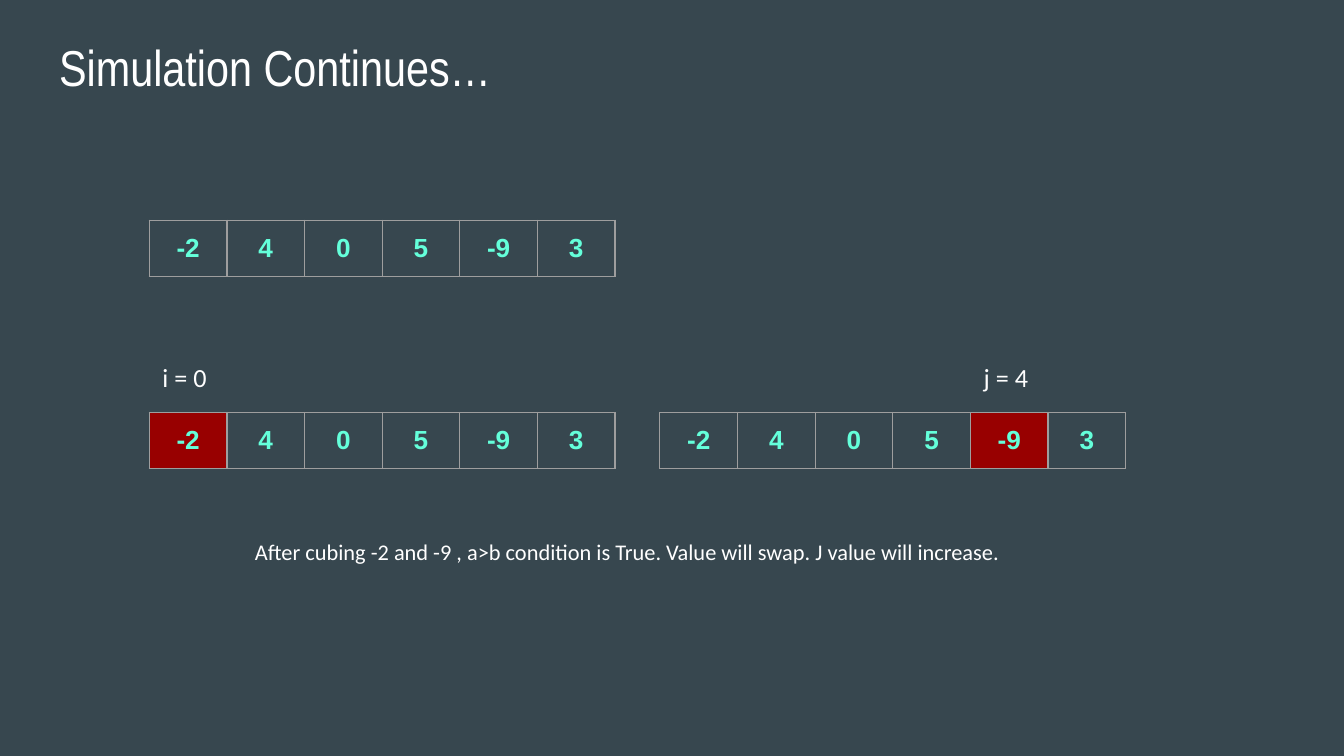
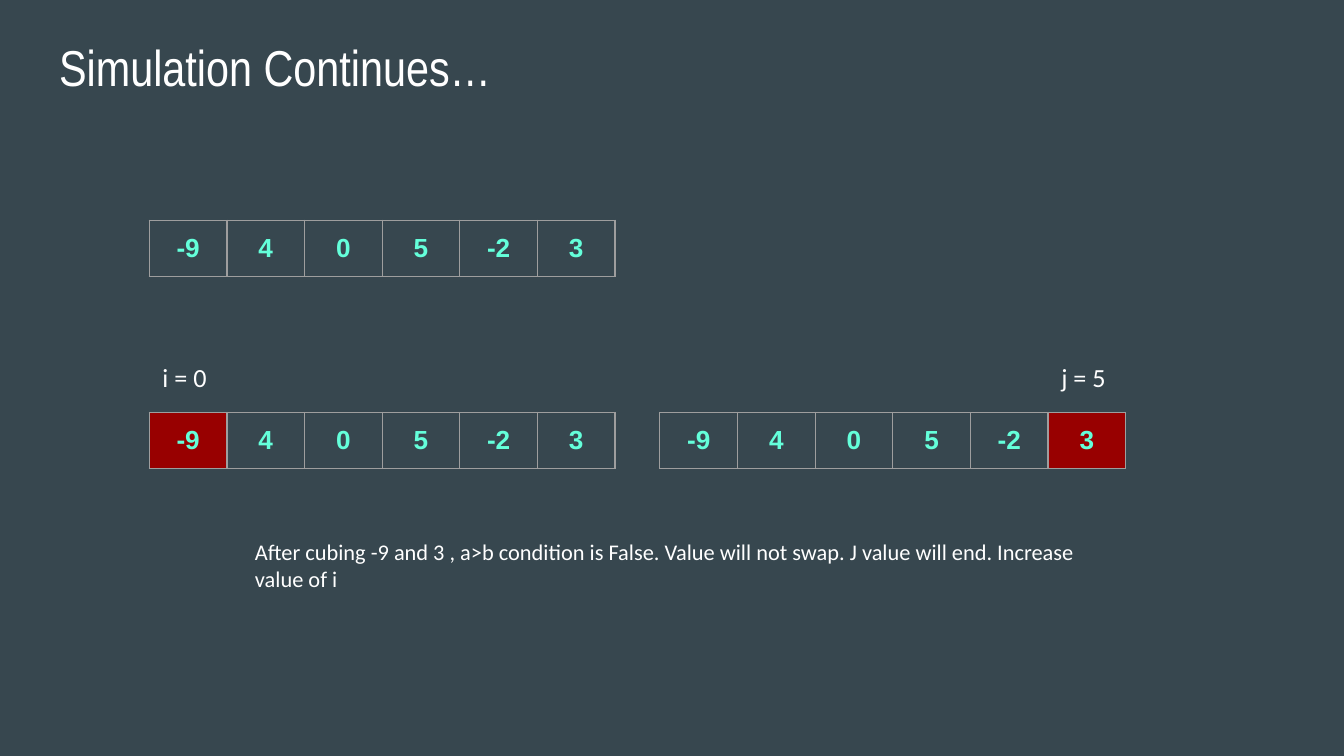
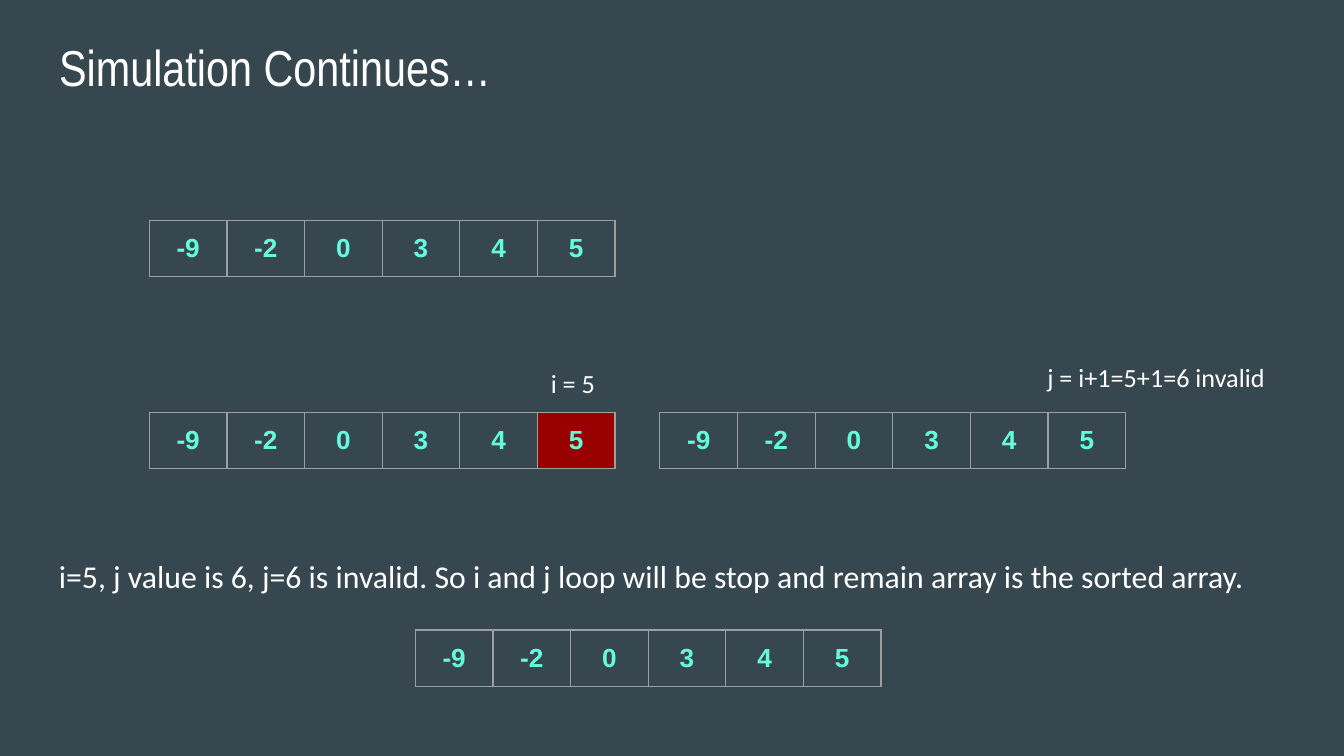
from dataclasses import dataclass
from typing import Any, Optional

import pptx
import pptx.dml.color
import pptx.enum.text
import pptx.oxml
import pptx.oxml.ns
import pptx.util

Pt = pptx.util.Pt
COLORS = {
    "background": "37474F",
    "text": "FFFFFF",
    "value": "64FFDA",
    "current": "980000",
    "border": "9E9E9E",
}
TITLE = "Simulation Continues…"
TITLE_FONT = {"name": "Arial Narrow", "size": Pt(27)}
VALUE_FONT = {"name": "Arial", "size": Pt(14), "bold": True}
INSET = 7.2
FRAME = {f"margin_{side}": Pt(INSET) for side in ("left", "right", "top", "bottom")}
TEXT_FRAME = FRAME | {
    "word_wrap": True,
    "auto_size": pptx.enum.text.MSO_AUTO_SIZE.NONE,
    "vertical_anchor": pptx.enum.text.MSO_ANCHOR.TOP,
}
CELL_W, CELL_H = 41.6, 30
LEFT_X, RIGHT_X = 80, 353.5
START_Y, LABEL_Y, COMPARE_Y = 118, 186.5, 221


@dataclass(frozen=True)
class Note:
    text: str
    left: float
    top: float
    width: float
    height: float
    size: float = 14


@dataclass(frozen=True)
class ArrayRow:
    left: float
    top: float
    current: Optional[int] = None


@dataclass(frozen=True)
class Step:
    values: tuple[int, ...]
    i: int
    j: Optional[int]
    notes: tuple[Note, ...]
    i_label_top: float = LABEL_Y
    result: Optional[ArrayRow] = None


STEPS = (
    Step((-2, 4, 0, 5, -9, 3), 0, 4, (
        Note("After cubing -2 and -9 , a>b condition is True. Value will swap. "
             "J value will increase.", 129.5, 281, 470, 29, 12),
    )),
    Step((-9, 4, 0, 5, -2, 3), 0, 5, (
        Note("After cubing -9 and 3 , a>b condition is False. Value will not swap. "
             "J value will end. Increase value of i", 129.5, 281, 470, 44, 12),
    )),
    Step((-9, -2, 0, 3, 4, 5), 5, None, (
        Note("j = i+1=5+1=6 invalid", 554, LABEL_Y, 141, 31.5),
        Note("i=5, j value is 6, j=6 is invalid. So i and j loop will be stop "
             "and remain array is the sorted array.", 24.5, 291, 692, 35, 17),
    ), i_label_top=189.5, result=ArrayRow(222.5, 337.5)),
)


def rgb(name: str) -> pptx.dml.color.RGBColor:
    return pptx.dml.color.RGBColor.from_string(COLORS[name])


def apply(target: Any, values: dict[str, Any]) -> None:
    """Set each named attribute of the target."""
    for name, value in values.items():
        setattr(target, name, value)


def write(tf: Any, text: str, font: dict[str, Any], color: str, align: Any) -> None:
    p = tf.paragraphs[0]
    p.alignment = align
    r = p.add_run()
    r.text = text
    apply(r.font, font)
    r.font.color.rgb = rgb(color)


def add_title(s: Any) -> None:
    sp = s.shapes.title
    apply(sp, {"left": Pt(24.5), "top": Pt(12), "width": Pt(671), "height": Pt(45.5)})
    apply(sp.text_frame, TEXT_FRAME)
    write(sp.text_frame, TITLE, TITLE_FONT, "text", pptx.enum.text.PP_ALIGN.LEFT)


def add_note(s: Any, note: Note) -> None:
    sp = s.shapes.add_textbox(
        Pt(note.left), Pt(note.top), Pt(note.width), Pt(note.height))
    apply(sp.text_frame, TEXT_FRAME)
    font = {"name": "Calibri", "size": Pt(note.size)}
    write(sp.text_frame, note.text, font, "text", pptx.enum.text.PP_ALIGN.LEFT)


def add_index_label(s: Any, name: str, index: int, row_left: float, top: float) -> None:
    """Name the index above the cell it points to."""
    add_note(s, Note(f"{name} = {index}", row_left + index * CELL_W, top, CELL_W, 31.5))


def add_borders(cell: Any) -> None:
    tc_pr = cell._tc.get_or_add_tcPr()
    for side in "LRTB":
        tc_pr.append(pptx.oxml.parse_xml(
            f'<a:ln{side} {pptx.oxml.ns.nsdecls("a")} w="{int(Pt(0.75))}"><a:solidFill>'
            f'<a:srgbClr val="{COLORS["border"]}"/></a:solidFill></a:ln{side}>'))


def add_array(s: Any, values: tuple[int, ...], row: ArrayRow) -> None:
    table = s.shapes.add_table(1, len(values), Pt(row.left), Pt(row.top),
                               Pt(CELL_W * len(values)), Pt(CELL_H)).table
    apply(table, {"first_row": False, "horz_banding": False})
    for index, value in enumerate(values):
        table.columns[index].width = Pt(CELL_W)
        cell = table.cell(0, index)
        apply(cell, FRAME)
        write(cell.text_frame, str(value), VALUE_FONT, "value",
              pptx.enum.text.PP_ALIGN.CENTER)
        add_borders(cell)
        if index == row.current:
            cell.fill.solid()
            cell.fill.fore_color.rgb = rgb("current")
        else:
            cell.fill.background()


def add_step(prs: Any, step: Step) -> None:
    s = prs.slides.add_slide(prs.slide_layouts.get_by_name("Title Only"))
    add_title(s)
    rows = [
        ArrayRow(LEFT_X, COMPARE_Y, step.i),
        ArrayRow(RIGHT_X, COMPARE_Y, step.j),
        ArrayRow(LEFT_X, START_Y),
    ]
    if step.result:
        rows.append(step.result)
    for row in rows:
        add_array(s, step.values, row)
    add_index_label(s, "i", step.i, LEFT_X, step.i_label_top)
    if step.j is not None:
        add_index_label(s, "j", step.j, RIGHT_X, LABEL_Y)
    for note in step.notes:
        add_note(s, note)


def main() -> None:
    prs = pptx.Presentation()
    apply(prs, {"slide_width": Pt(720), "slide_height": Pt(405)})
    fill = prs.slide_master.background.fill
    fill.solid()
    fill.fore_color.rgb = rgb("background")
    for step in STEPS:
        add_step(prs, step)
    prs.save("out.pptx")


if __name__ == "__main__":
    main()
